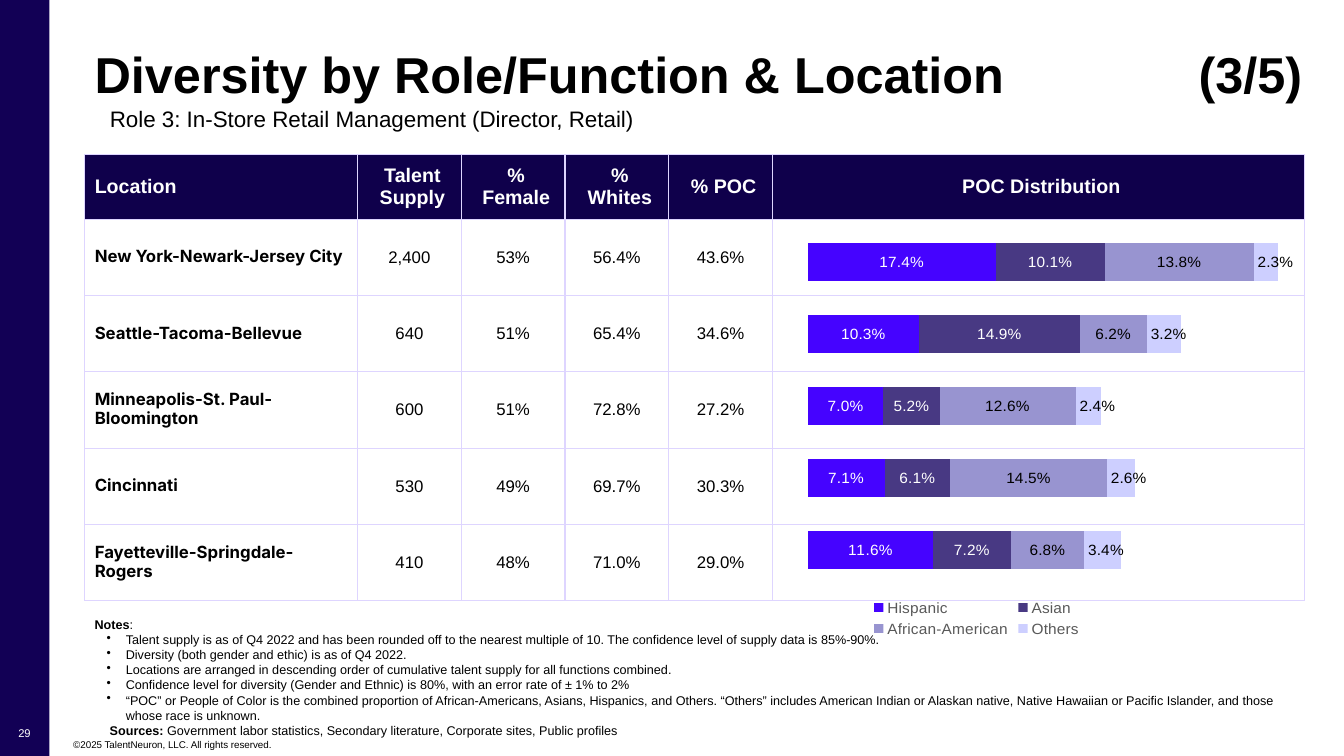
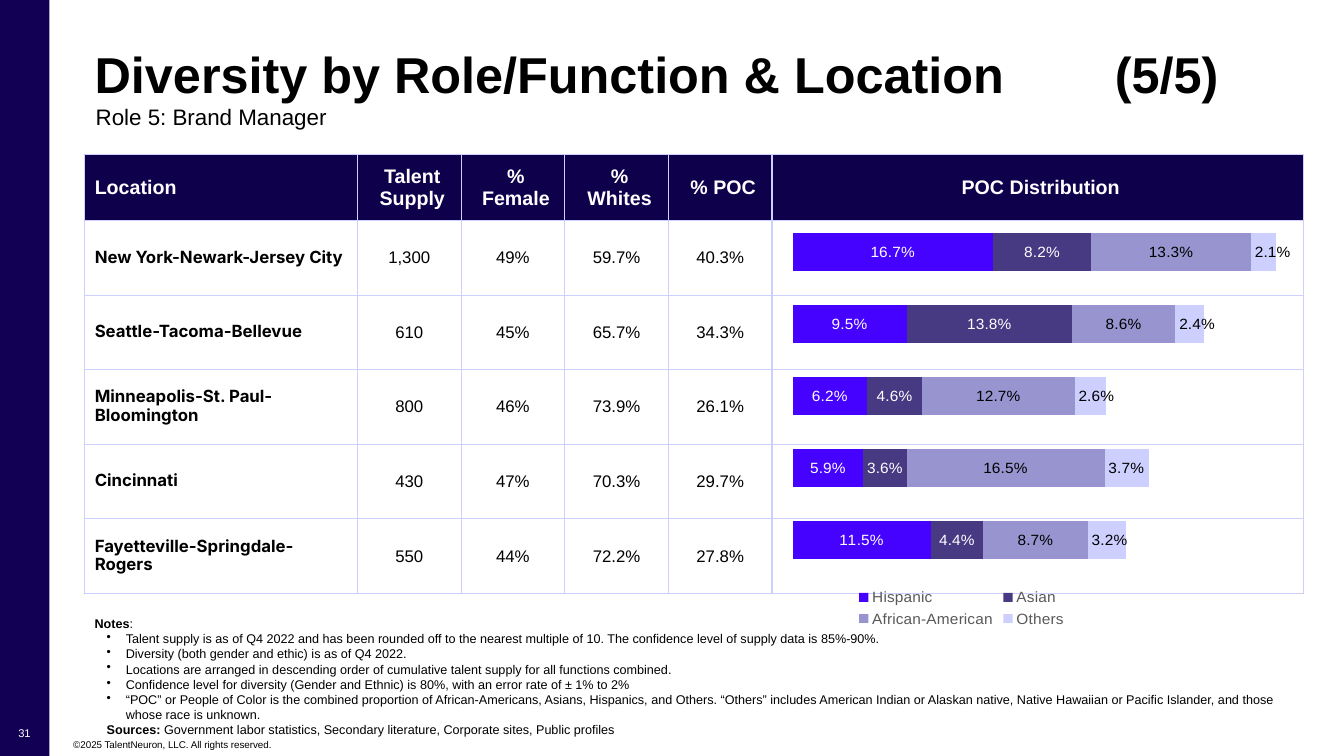
from dataclasses import dataclass

from lxml import etree
from pptx import Presentation
from pptx import util as u
from pptx.chart import data as chart_data
from pptx.dml import color
from pptx.enum import chart as ch, shapes, text
from pptx.oxml import ns


@dataclass(frozen=True)
class Theme:
    """Colours, fonts and type sizes of the deck."""
    band: str = "120055"
    header: str = "0F004B"
    ink: str = "000000"
    paper: str = "FFFFFF"
    legend: str = "595959"
    font: str = "Arial"
    place_font: str = "Inter"
    title: int = 36
    subtitle: int = 16
    head: int = 14
    cell: int = 12
    chart: int = 11
    remark: int = 9
    page: int = 8
    legal: int = 7


@dataclass(frozen=True)
class Box:
    """An area in hundredths of the slide's width and height."""
    x: float
    y: float
    w: float
    h: float

    def emu(self):
        """Return left, top, width and height as lengths."""
        return [int(share * side / 100) for share, side in
                ((self.x, WIDTH), (self.y, HEIGHT), (self.w, WIDTH), (self.h, HEIGHT))]


@dataclass(frozen=True)
class Role:
    """What one role slide says and where its movable parts sit."""
    page: str
    count: str
    count_tab: float
    subtitle: str
    subtitle_box: Box
    table_box: Box
    header_share: float
    border: str
    chart_box: Box
    axis_max: float
    remarks_box: Box
    sources_indent: float
    rows: tuple


THEME = Theme()
WIDTH, HEIGHT = u.Inches(13.33), u.Inches(7.5)
BAND = Box(0, 0, 3.68, 100)
LEGAL = Box(5.45, 97.6, 60, 1.6)
PAGE = Box(0.4, 94.8, 2.85, 4.4)
TITLE = Box(6.3, 5.47, 92.3, 9.47)

HEADERS = ("Location", "Talent Supply", "% Female", "% Whites", "% POC", "POC Distribution")
COLUMNS = (2.71, 1.03, 1.03, 1.03, 1.03, 5.28)
PLACES = ("New York-Newark-Jersey City", "Seattle-Tacoma-Bellevue",
          "Minneapolis-St. Paul-Bloomington", "Cincinnati", "Fayetteville-Springdale-Rogers")
CENTER, IN_BASE = ch.XL_LABEL_POSITION.CENTER, ch.XL_LABEL_POSITION.INSIDE_BASE
GROUPS = (("Hispanic", "4503FF", THEME.paper, CENTER),
          ("Asian", "483983", THEME.paper, CENTER),
          ("African-American", "9894D0", THEME.ink, CENTER),
          ("Others", "CDCFFF", THEME.ink, IN_BASE))
REMARKS = (
    "Talent supply is as of Q4 2022 and has been rounded off to the nearest multiple of 10. "
    "The confidence level of supply data is 85%-90%.",
    "Diversity (both gender and ethic) is as of Q4 2022.",
    "Locations are arranged in descending order of cumulative talent supply for all functions "
    "combined.",
    "Confidence level for diversity (Gender and Ethnic) is 80%, with an error rate of ± 1% to 2%",
    "“POC” or People of Color is the combined proportion of African-Americans, Asians, Hispanics, "
    "and Others. “Others” includes American Indian or Alaskan native, Native Hawaiian or Pacific "
    "Islander, and those whose race is unknown.")
SOURCES = "Government labor statistics, Secondary literature, Corporate sites, Public profiles"

ROLES = (
    Role("29", "(3/5)", 10.95, "Role 3: In-Store Retail Management (Director, Retail)",
         Box(7.43, 13.47, 90.68, 4.93), Box(6.3, 20.47, 90.75, 59), 0.145, "DED5FF",
         Box(59.7, 25.33, 41.4, 59.47), 0.5, Box(6.3, 81.6, 90.68, 16), 0.15,
         (("2,400", 53, (17.4, 10.1, 13.8, 2.3)),
          ("640", 51, (10.3, 14.9, 6.2, 3.2)),
          ("600", 51, (7.0, 5.2, 12.6, 2.4)),
          ("530", 49, (7.1, 6.1, 14.5, 2.6)),
          ("410", 48, (11.6, 7.2, 6.8, 3.4)))),
    Role("31", "(5/5)", 10.12, "Role 5: Brand Manager",
         Box(6.38, 13.2, 90.68, 4.93), Box(6.3, 20.47, 90.7, 58.05), 0.15, "CDCFFF",
         Box(58.57, 24, 41.4, 59.47), 0.45, Box(6.3, 81.5, 90.68, 16), 0.12,
         (("1,300", 49, (16.7, 8.2, 13.3, 2.1)),
          ("610", 45, (9.5, 13.8, 8.6, 2.4)),
          ("800", 46, (6.2, 4.6, 12.7, 2.6)),
          ("430", 47, (5.9, 3.6, 16.5, 3.7)),
          ("550", 44, (11.5, 4.4, 8.7, 3.2)))))


def rgb(value):
    """Turn a hex string into a colour."""
    return color.RGBColor.from_string(value)


def style(font, size, ink=THEME.ink, bold=False, name=THEME.font):
    """Set the face, size, weight and colour of a font."""
    font.name, font.size, font.bold = name, u.Pt(size), bold
    font.color.rgb = rgb(ink)


def add(parent, tag, **attributes):
    """Append a namespaced child element."""
    return etree.SubElement(parent, ns.qn(tag), attributes)


def indent(paragraph, left, first=0.0):
    """Set the left margin and first-line indent in inches."""
    properties = paragraph._p.get_or_add_pPr()
    properties.set("marL", str(u.Inches(left)))
    properties.set("indent", str(u.Inches(first)))
    return properties


def text_area(slide, box, anchor=text.MSO_ANCHOR.MIDDLE):
    """Add a wrapping text box and return its frame."""
    frame = slide.shapes.add_textbox(*box.emu()).text_frame
    frame.word_wrap, frame.vertical_anchor = True, anchor
    return frame


def draw_frame(slide, page):
    """Draw the side band, copyright line and page number."""
    band = slide.shapes.add_shape(shapes.MSO_SHAPE.RECTANGLE, *BAND.emu())
    band.shadow.inherit = False
    band.fill.solid()
    band.fill.fore_color.rgb = rgb(THEME.band)
    band.line.fill.background()
    legal = text_area(slide, LEGAL, text.MSO_ANCHOR.BOTTOM)
    legal.margin_left = legal.margin_right = legal.margin_top = legal.margin_bottom = 0
    legal.text = "©2025 TalentNeuron, LLC. All rights reserved."
    style(legal.paragraphs[0].runs[0].font, THEME.legal)
    number = text_area(slide, PAGE)
    number.text = page
    number.paragraphs[0].alignment = text.PP_ALIGN.CENTER
    style(number.paragraphs[0].runs[0].font, THEME.page, THEME.paper)


def draw_heading(slide, role):
    """Write the title with its tabbed count, and the subtitle."""
    title = text_area(slide, TITLE).paragraphs[0]
    tabs = add(title._p.get_or_add_pPr(), "a:tabLst")
    add(tabs, "a:tab", pos=str(u.Inches(role.count_tab)), algn="l")
    title.text = f"Diversity by Role/Function & Location\t{role.count}"
    subtitle = text_area(slide, role.subtitle_box).paragraphs[0]
    subtitle.text = role.subtitle
    for line, size, bold in ((title, THEME.title, True), (subtitle, THEME.subtitle, False)):
        line.line_spacing = 0.9
        style(line.runs[0].font, size, bold=bold)


def draw_remarks(slide, role):
    """Write the list of remarks and the sources line."""
    frame = text_area(slide, role.remarks_box, text.MSO_ANCHOR.TOP)
    frame.margin_top = frame.margin_bottom = 0
    lines = [("Notes", ":"), *(("", remark) for remark in REMARKS), ("Sources: ", SOURCES)]
    for index, (lead, body) in enumerate(lines):
        line = frame.paragraphs[0] if index == 0 else frame.add_paragraph()
        if not lead:
            add(indent(line, 0.31, -0.19), "a:buChar", char="•")
        elif index:
            indent(line, role.sources_indent)
        line.line_spacing = u.Pt(10.8)
        for words, bold in ((lead, True), (body, False)):
            if words:
                run = line.add_run()
                run.text = words
                style(run.font, THEME.remark, bold=bold)


def format_cell(cell, fill, border, margin):
    """Give a cell its borders, fill, margins and anchor."""
    properties = cell._tc.get_or_add_tcPr()
    for side in ("a:lnL", "a:lnR", "a:lnT", "a:lnB"):
        line = add(properties, side, w=str(u.Pt(1)))
        add(add(line, "a:solidFill"), "a:srgbClr", val=border)
    cell.fill.solid()
    cell.fill.fore_color.rgb = rgb(fill)
    cell.vertical_anchor = text.MSO_ANCHOR.MIDDLE
    cell.margin_left = cell.margin_right = u.Inches(margin)
    cell.margin_top = cell.margin_bottom = u.Inches(margin / 2)


def draw_table(slide, role):
    """Draw the location table; both shares follow from the distribution."""
    records = [HEADERS]
    for place, (supply, female, parts) in zip(PLACES, role.rows):
        poc = sum(parts)
        records.append((place, supply, f"{female}%", f"{100 - poc:.1f}%", f"{poc:.1f}%", ""))
    left, top, width, height = role.table_box.emu()
    table = slide.shapes.add_table(len(records), len(HEADERS), left, top, width, height).table
    table.first_row = table.horz_banding = False
    for column, share in zip(table.columns, COLUMNS):
        column.width = int(width * share / sum(COLUMNS))
    body_share = (1 - role.header_share) / len(PLACES)
    for r, record in enumerate(records):
        table.rows[r].height = int(height * (body_share if r else role.header_share))
        for c, words in enumerate(record):
            cell = table.cell(r, c)
            format_cell(cell, THEME.paper if r else THEME.header, role.border,
                        0 if r and c else 0.1)
            if not words:
                continue
            cell.text_frame.text = words
            line = cell.text_frame.paragraphs[0]
            font = line.runs[0].font
            if c:
                line.alignment = text.PP_ALIGN.CENTER
            if r == 0:
                indent(line, 0.06 if c else 0)
                style(font, THEME.head, THEME.paper, True)
            elif c == 0:
                line.line_spacing = u.Pt(13.5)
                style(font, THEME.cell, bold=True, name=THEME.place_font)
            else:
                style(font, THEME.cell)


def manual_layout(parent, position, **shares):
    """Pin a chart part at shares of the chart area."""
    for stale in parent.findall(ns.qn("c:layout")):
        parent.remove(stale)
    layout = etree.Element(ns.qn("c:layout"))
    manual = add(layout, "c:manualLayout")
    if "w" in shares:
        add(manual, "c:layoutTarget", val="inner")
    for mode in ("c:xMode", "c:yMode"):
        add(manual, mode, val="edge")
    for key, share in shares.items():
        add(manual, f"c:{key}", val=str(share))
    parent.insert(position, layout)


def draw_chart(slide, role):
    """Draw the stacked bars, one per table row."""
    values = chart_data.CategoryChartData(number_format="0.0%")
    values.categories = [str(n + 1) for n in range(len(PLACES))]
    for g, group in enumerate(GROUPS):
        values.add_series(group[0], [round(parts[g] / 100, 3)
                                     for _, _, parts in reversed(role.rows)])
    chart = slide.shapes.add_chart(ch.XL_CHART_TYPE.BAR_STACKED, *role.chart_box.emu(),
                                   values).chart
    style(chart.font, THEME.chart)
    chart.has_title = False
    chart.category_axis.visible = chart.value_axis.visible = False
    chart.value_axis.has_major_gridlines = False
    chart.value_axis.minimum_scale, chart.value_axis.maximum_scale = 0, role.axis_max
    chart.has_legend = True
    chart.legend.position = ch.XL_LEGEND_POSITION.BOTTOM
    chart.legend.include_in_layout = False
    style(chart.legend.font, THEME.chart, THEME.legend)
    manual_layout(chart._chartSpace.xpath("c:chart/c:plotArea")[0], 0,
                  x=0.01, y=0.08, w=0.97, h=0.83)
    manual_layout(chart._chartSpace.xpath("c:chart/c:legend")[0], 1, x=0.12, y=0.93)
    plot = chart.plots[0]
    plot.gap_width, plot.overlap, plot.vary_by_categories = 90, 100, False
    for series, (_, fill, ink, position) in zip(plot.series, GROUPS):
        series.format.fill.solid()
        series.format.fill.fore_color.rgb = rgb(fill)
        labels = series.data_labels
        labels.show_value, labels.position = True, position
        labels.number_format, labels.number_format_is_linked = "0.0%", False
        style(labels.font, THEME.chart, ink)


def draw_role(deck, role):
    """Build one role slide."""
    slide = deck.slides.add_slide(deck.slide_layouts[6])
    draw_frame(slide, role.page)
    draw_remarks(slide, role)
    draw_table(slide, role)
    draw_chart(slide, role)
    draw_heading(slide, role)


def main():
    """Build and save the deck."""
    deck = Presentation()
    deck.slide_width, deck.slide_height = WIDTH, HEIGHT
    for role in ROLES:
        draw_role(deck, role)
    deck.save("out.pptx")


if __name__ == "__main__":
    main()
